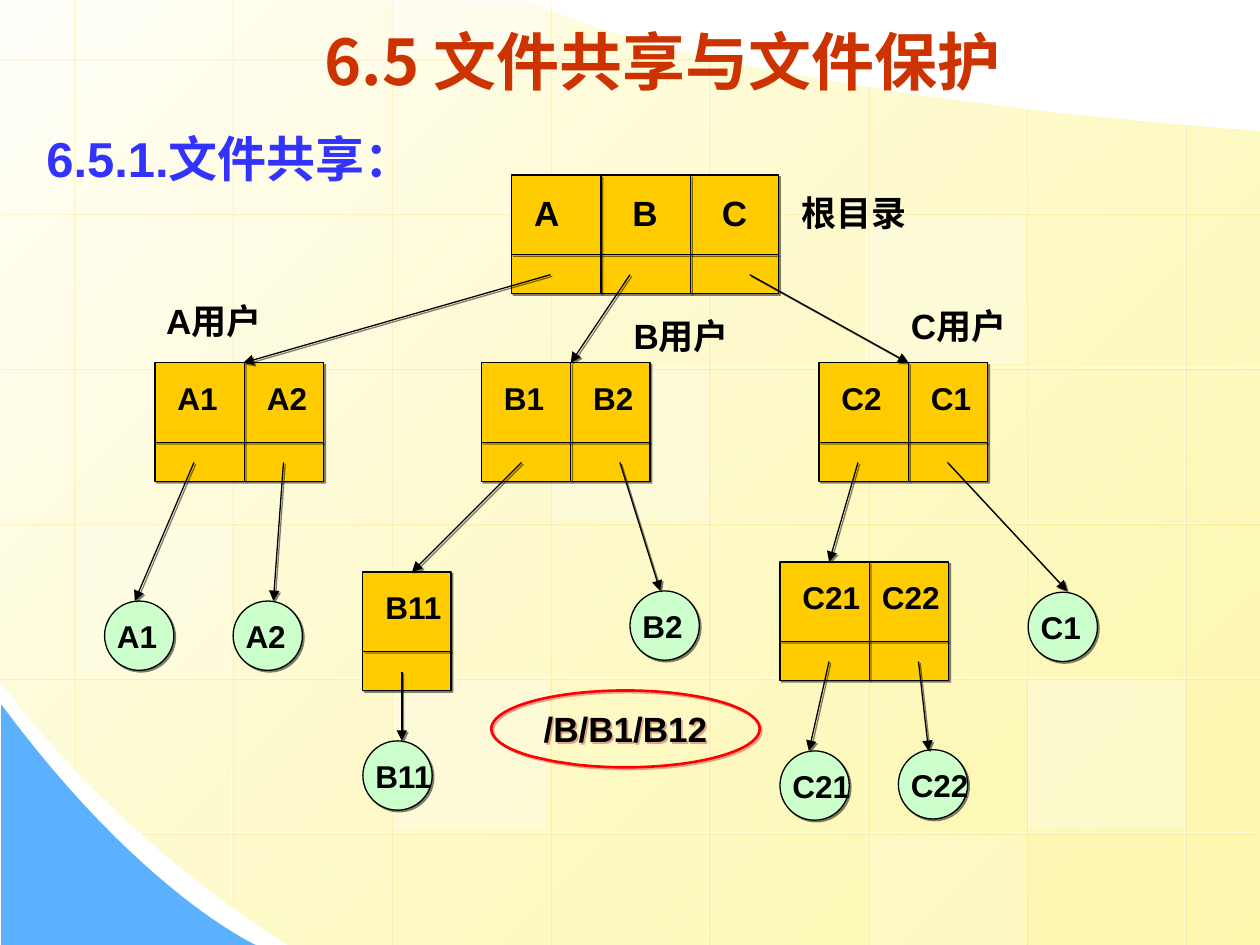
from dataclasses import dataclass
from typing import NamedTuple
from lxml.etree import SubElement
from pptx import Presentation
from pptx.dml.color import RGBColor
from pptx.enum.shapes import MSO_CONNECTOR, MSO_SHAPE
from pptx.enum.text import PP_ALIGN
from pptx.oxml.ns import qn
from pptx.util import Inches, Pt

CELL = 0.71
WIDTH = {1: 0.7, 2: 1.34, 3: 2.12}
HIGH = 0.94
BALL = 0.55
DARK = "000000"


class Box(NamedTuple):
    left: float
    top: float
    width: float
    height: float


class Line(NamedTuple):
    x1: float
    y1: float
    x2: float
    y2: float


@dataclass
class Folder:
    left: float
    top: float
    names: list[str]
    gap: float = 0
    size: int = 18


@dataclass
class File:
    left: float
    top: float
    name: str


@dataclass
class Label:
    box: Box
    text: str
    size: int = 20
    color: str = DARK


def rgb(code: str) -> RGBColor:
    return RGBColor.from_string(code)


def fade(node, alpha: int) -> None:
    for tint in node.iter(qn("a:srgbClr")):
        SubElement(tint, qn("a:alpha"), val=str(alpha * 1000))


def cast(node, color: str, alpha: int) -> None:
    effect = SubElement(node, qn("a:effectLst"))
    if color:
        drop = SubElement(effect, qn("a:outerShdw"), blurRad="0", dist="17780",
                          dir="2700000", algn="ctr", rotWithShape="0")
        SubElement(drop, qn("a:srgbClr"), val=color)
        fade(drop, alpha)


def paint(shape, fill: str = "", line: str = "", width: float = 0.75,
          shade: str = "", alpha: int = 100) -> None:
    if fill:
        shape.fill.solid()
        shape.fill.fore_color.rgb = rgb(fill)
        if alpha < 100:
            fade(shape.fill._xPr.find(qn("a:solidFill")), alpha)
    else:
        shape.fill.background()
    if line:
        shape.line.color.rgb = rgb(line)
        shape.line.width = Pt(width)
    else:
        shape.line.fill.background()
    cast(shape._element.spPr, shade, 50)


def place(shapes, kind: MSO_SHAPE, box: Box, **style):
    shape = shapes.add_shape(kind, *map(Inches, box))
    paint(shape, **style)
    return shape


def rule(shapes, line: Line, color: str = DARK, alpha: int = 100,
         shade: str = DARK, depth: int = 50, arrow: bool = False) -> None:
    wire = shapes.add_connector(MSO_CONNECTOR.STRAIGHT, *map(Inches, line))
    wire.line.color.rgb = rgb(color)
    wire.line.width = Pt(0.75)
    edge = wire.line._get_or_add_ln()
    if alpha < 100:
        fade(edge, alpha)
    if arrow:
        SubElement(edge, qn("a:tailEnd"), type="triangle")
    cast(wire._element.spPr, shade, depth)


def fill_text(frame, text: str, size: int, color: str = DARK,
              face: str = "Arial", shade: str = DARK) -> None:
    frame.word_wrap = True
    part = frame.paragraphs[0]
    run = part.add_run()
    run.text = text
    run.font.color.rgb = rgb(color)
    props = run._r.get_or_add_rPr()
    if shade:
        cast(props, shade, 50)
    form = {"size": Pt(size), "bold": True, "name": face}
    for key, value in form.items():
        setattr(run.font, key, value)
    SubElement(props, qn("a:ea"), typeface="Noto Sans CJK SC")


def write(shapes, label: Label, **style) -> None:
    frame = shapes.add_textbox(*map(Inches, label.box)).text_frame
    fill_text(frame, label.text, label.size, label.color, **style)


def curve(dots: list[tuple[float, float]]) -> list[tuple[float, float]]:
    steps = [n / 24 for n in range(1, 25)]
    mix = lambda t, a, b, c, d: ((1 - t) ** 3 * a + 3 * t * (1 - t) ** 2 * b
                                 + 3 * t * t * (1 - t) * c + t ** 3 * d)
    return [tuple(mix(t, *axis) for axis in zip(*dots)) for t in steps]


def outline(shapes, dots: list[tuple[float, float]]):
    spots = [(Inches(x), Inches(y)) for x, y in dots]
    pen = shapes.build_freeform(*spots[0])
    pen.add_line_segments(spots[1:], close=True)
    return pen.convert_to_shape()


def draw_back(shapes) -> None:
    sheet = outline(shapes, [(10, 1.04), (10, 7.5), (2.3, 7.5)]
                    + curve([(2.3, 7.5), (0.86, 6.61), (-0.01, 5.39), (0, 5.39)])
                    + [(-0.01, -0.01), (4.21, 0.01)]
                    + curve([(4.21, 0.01), (4.21, 0.01), (5.37, 0.69), (10, 1.04)]))
    paint(sheet)
    sheet.fill.gradient()
    sheet.fill.gradient_angle = 315
    for stop, color, spot in zip(sheet.fill.gradient_stops, ("FFFFFB", "FDF58D"), (0, 1)):
        stop.color.rgb = rgb(color)
        stop.position = spot
    fade(sheet.fill._xPr.findall(".//" + qn("a:gs"))[1], 70)
    wave = outline(shapes, [(0.01, 5.59), (0.01, 7.5), (2.03, 7.5)]
                   + curve([(2.03, 7.5), (2.03, 7.5), (1.12, 7.09), (0.01, 5.59)]))
    paint(wave, fill="5CB1FE")
    tops = [0, 0, 0, 0, 0.43, 0.68, 0.85, 0.98]
    ends = [6.09, 7.19] + [7.5] * 6
    grid = [Line(0.58 + 1.26 * n, top, 0.58 + 1.26 * n, end)
            for n, (top, end) in enumerate(zip(tops, ends))]
    spans = [(5.68, 0)] + [(10, 0)] * 4 + [(9.97, 1.11)]
    grid += [Line(right, 0.46 + 1.23 * n, left, 0.46 + 1.23 * n)
             for n, (right, left) in enumerate(spans)]
    for line in grid:
        rule(shapes, line, "FFFFFF", 50, "FFCC00", 34)
    tiles = [(4.38, 2.94, 1.18, 25), (8.16, 5.4, 1.18, 30), (0.6, 4.16, 1.18, 20),
             (6.9, 6.63, 0.87, 20), (3.11, 0, 0.44, 40), (3.12, 5.4, 1.18, 30),
             (6.89, 1.71, 1.18, 30)]
    for left, top, high, alpha in tiles:
        place(shapes, MSO_SHAPE.RECTANGLE, Box(left, top, 1.23, high),
              fill="FFFFFF", alpha=alpha)


def draw_folder(shapes, item: Folder) -> None:
    left, top, wide = item.left, item.top, WIDTH[len(item.names)]
    place(shapes, MSO_SHAPE.RECTANGLE, Box(left, top, wide, HIGH),
          fill="FFCC00", line=DARK, shade=DARK)
    for n, name in enumerate(item.names):
        x = left + CELL * n
        if n:
            rule(shapes, Line(x, top, x, top + HIGH))
        nudge = 0.08 + (item.gap if n else 0)
        write(shapes, Label(Box(x + nudge, top + 0.08, CELL, 0.4), name, item.size))
    rule(shapes, Line(left, top + 0.63, left + wide, top + 0.63))


def draw_file(shapes, item: File) -> None:
    place(shapes, MSO_SHAPE.OVAL, Box(item.left, item.top, BALL, BALL),
          fill="CCFFCC", line=DARK, shade=DARK)
    write(shapes, Label(Box(item.left, item.top + 0.08, CELL, 0.4), item.name, 18))


FOLDERS = [Folder(4.06, 1.39, ["A", "B", "C"], 0.07, 20), Folder(1.23, 2.88, ["A1", "A2"]),
           Folder(3.82, 2.88, ["B1", "B2"]), Folder(6.5, 2.88, ["C2", "C1"]),
           Folder(6.19, 4.46, ["C21", "C22"], -0.08), Folder(2.88, 4.54, ["B11"])]
FILES = [File(0.83, 4.77, "A1"), File(1.85, 4.77, "A2"), File(5, 4.69, "B2"),
         File(6.19, 5.96, "C21"), File(8.16, 4.7, "C1"), File(7.13, 5.95, "C22"),
         File(2.88, 5.88, "B11")]
LABELS = [Label(Box(0.27, 0.97, 3.7, 0.57), "6.5.1.文件共享：", 28, "3333FF"),
          Label(Box(6.26, 1.47, 1.34, 0.43), "根目录"),
          Label(Box(1.22, 2.33, 1.18, 0.43), "A用户"),
          Label(Box(4.93, 2.45, 1.18, 0.43), "B用户"),
          Label(Box(7.13, 2.37, 1.18, 0.43), "C用户")]
ARROWS = [Line(4.37, 2.18, 1.93, 2.88), Line(5, 2.18, 4.53, 2.88),
          Line(5.95, 2.18, 7.21, 2.88), Line(1.54, 3.67, 1.07, 4.77),
          Line(2.25, 3.67, 2.17, 4.77), Line(4.14, 3.67, 3.27, 4.54),
          Line(4.92, 3.67, 5.24, 4.69), Line(6.81, 3.67, 6.58, 4.46),
          Line(7.52, 3.67, 8.47, 4.69), Line(6.58, 5.25, 6.42, 5.96),
          Line(7.29, 5.25, 7.37, 5.96), Line(3.19, 5.33, 3.19, 5.88)]


def main() -> None:
    deck = Presentation()
    deck.slide_width, deck.slide_height = Inches(10), Inches(7.5)
    shapes = deck.slides.add_slide(deck.slide_layouts[6]).shapes
    draw_back(shapes)
    write(shapes, Label(Box(2.48, 0.13, 6.14, 0.71), "6.5 文件共享与文件保护", 36, "CC3300"),
          face="Noto Sans CJK SC", shade="")
    for label in LABELS:
        write(shapes, label)
    for item in FOLDERS:
        draw_folder(shapes, item)
    for item in FILES:
        draw_file(shapes, item)
    for line in ARROWS:
        rule(shapes, line, arrow=True)
    route = place(shapes, MSO_SHAPE.OVAL_CALLOUT, Box(3.9, 5.48, 2.13, 0.61),
                  line="FF0000", width=1.5, shade="CC4E4E")
    route.adjustments[0], route.adjustments[1] = -0.27, 0.42
    fill_text(route.text_frame, "/B/B1/B12", 20)
    route.text_frame.paragraphs[0].alignment = PP_ALIGN.CENTER
    deck.save("out.pptx")


if __name__ == "__main__":
    main()
